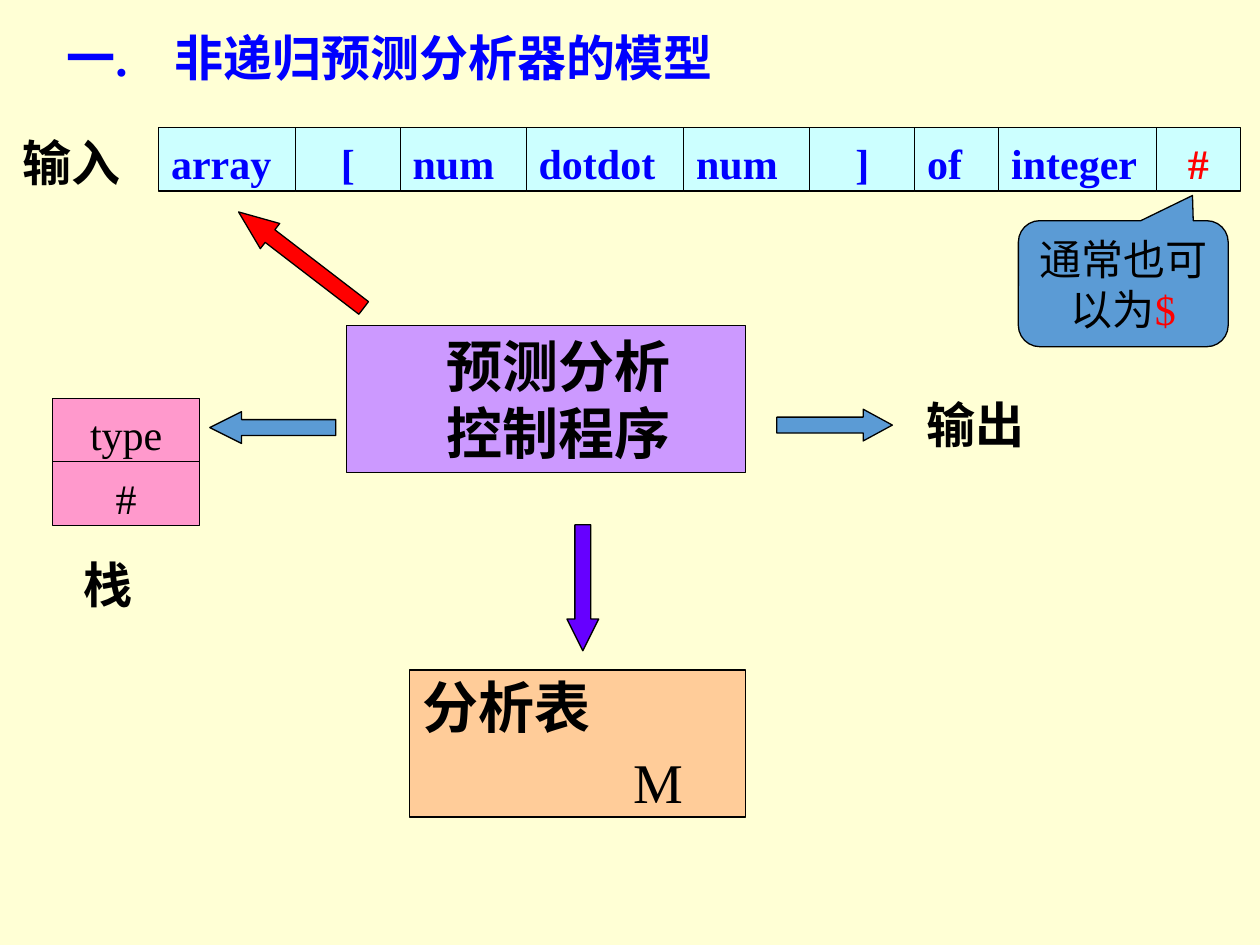
from lxml import etree
from pptx import Presentation
from pptx.dml.color import RGBColor
from pptx.enum.shapes import MSO_SHAPE
from pptx.enum.text import MSO_ANCHOR, MSO_AUTO_SIZE, PP_ALIGN
from pptx.oxml.ns import qn
from pptx.util import Cm, Pt

RECT, CALLOUT = MSO_SHAPE.RECTANGLE, MSO_SHAPE.ROUNDED_RECTANGULAR_CALLOUT
LEFT_ARROW, RIGHT_ARROW = MSO_SHAPE.LEFT_ARROW, MSO_SHAPE.RIGHT_ARROW
DOWN_ARROW = MSO_SHAPE.DOWN_ARROW
MIDDLE, NO_FIT = MSO_ANCHOR.MIDDLE, MSO_AUTO_SIZE.NONE
LEFT, CENTER = PP_ALIGN.LEFT, PP_ALIGN.CENTER

FONT = "Times New Roman"
CREAM = RGBColor(0xFF, 0xFF, 0xD5)
BLACK = RGBColor(0x00, 0x00, 0x00)
BLUE = RGBColor(0x00, 0x00, 0xFF)
RED = RGBColor(0xFF, 0x00, 0x00)
CYAN = RGBColor(0xCC, 0xFF, 0xFF)
STEEL = RGBColor(0x5B, 0x9B, 0xD5)
LILAC = RGBColor(0xCC, 0x99, 0xFF)
VIOLET = RGBColor(0x66, 0x00, 0xFF)
PEACH = RGBColor(0xFF, 0xCC, 0x99)
PINK = RGBColor(0xFF, 0x99, 0xCC)

CELL_MARGINS = (0.25, 0.22, 0.25, 0.06)
CELL_UNIT, CELL_HEIGHT = 0.2117, 1.28
INPUT_CELLS = [
    ("array", 13, LEFT, BLUE),
    ("[", 10, CENTER, BLUE),
    ("num", 12, LEFT, BLUE),
    ("dotdot", 15, LEFT, BLUE),
    ("num", 12, LEFT, BLUE),
    ("]", 10, CENTER, BLUE),
    ("of", 8, LEFT, BLUE),
    ("integer", 15, LEFT, BLUE),
    ("#", 8, CENTER, RED),
]


def add_tab_stop(p, position):
    """Give the paragraph one left tab stop."""
    tabs = etree.SubElement(p._p.get_or_add_pPr(), qn("a:tabLst"))
    etree.SubElement(tabs, qn("a:tab"), pos=str(Cm(position)), algn="l")


def format_paragraph(p, size, color=BLACK, bold=False, align=LEFT):
    """Set the alignment and font of a paragraph."""
    p.alignment = align
    p.font.name = FONT
    p.font.size = Pt(size)
    p.font.bold = bold
    p.font.color.rgb = color


def set_text(sp, text, size, color=BLACK, bold=False, align=LEFT,
             margins=(0.25, 0.13, 0.25, 0.13), tab=None):
    """Fill a shape with text of one format and return its frame."""
    tf = sp.text_frame
    tf.word_wrap = True
    tf.auto_size = NO_FIT
    tf.vertical_anchor = MIDDLE
    tf.margin_left, tf.margin_top, tf.margin_right, tf.margin_bottom = map(Cm, margins)
    tf.text = text
    for p in tf.paragraphs:
        if tab:
            add_tab_stop(p, tab)
        format_paragraph(p, size, color, bold, align)
    return tf


def add_block(slide, kind, box, fill, adjustments=(), rotation=0):
    """Add a filled shape with a thin black outline."""
    sp = slide.shapes.add_shape(kind, *map(Cm, box))
    sp.shadow.inherit = False
    sp.fill.solid()
    sp.fill.fore_color.rgb = fill
    sp.line.color.rgb = BLACK
    sp.line.width = Pt(0.75)
    sp.rotation = rotation
    for i, value in enumerate(adjustments):
        sp.adjustments[i] = value
    return sp


def add_label(slide, text, left, top, **style):
    """Add a bold caption."""
    sp = slide.shapes.add_textbox(Cm(left), Cm(top), Cm(2.97), Cm(1.45))
    set_text(sp, text, 28, bold=True, **style)


def add_title(slide, text):
    """Place and format the slide title."""
    sp = slide.shapes.title
    sp.left, sp.top, sp.width, sp.height = map(Cm, (0.43, 0.43, 15.21, 1.45))
    set_text(sp, text, 28, BLUE, True, margins=(0.91, 0.13, 0.25, 0.13), tab=2.18)


def add_input_tape(slide, left, top):
    """Lay the input tokens side by side."""
    for text, units, align, color in INPUT_CELLS:
        width = units * CELL_UNIT
        sp = add_block(slide, RECT, (left, top, width, CELL_HEIGHT), CYAN)
        set_text(sp, text, 24, color, True, align, CELL_MARGINS)
        left += width


def add_stack(slide, left, top):
    """Pile up the stack symbols."""
    for i, text in enumerate(("type", "#")):
        box = (left, top + i * CELL_HEIGHT, 2.97, CELL_HEIGHT)
        sp = add_block(slide, RECT, box, PINK)
        set_text(sp, text, 24, align=CENTER, margins=CELL_MARGINS)


def add_callout(slide):
    """Add the remark on the end marker."""
    sp = add_block(slide, CALLOUT, (20.53, 4.45, 4.23, 2.54), STEEL, (0.33, -0.7, 0.17))
    tf = set_text(sp, "通常也可以为", 24, align=CENTER)
    r = tf.paragraphs[0].add_run()
    r.text = "$"
    r.font.color.rgb = RED


def main():
    """Build the slide on the predictive parser model."""
    prs = Presentation()
    prs.slide_width, prs.slide_height = Cm(25.4), Cm(19.05)
    slide = prs.slides.add_slide(prs.slide_layouts[5])
    slide.background.fill.solid()
    slide.background.fill.fore_color.rgb = CREAM

    add_title(slide, "一.\t非递归预测分析器的模型")
    add_input_tape(slide, 3.2, 2.57)
    add_label(slide, "输入", 0.2, 2.54)

    program = add_block(slide, RECT, (6.99, 6.56, 8.04, 2.96), LILAC)
    set_text(program, "预测分析\n控制程序", 32, bold=True, margins=(2.02, 0.13, 0.25, 0.13))
    table = add_block(slide, RECT, (8.26, 13.51, 6.77, 2.96), PEACH)
    tf = set_text(table, "分析表\n\tM", 32, bold=True, tab=4.27)
    tf.paragraphs[1].font.bold = False
    tf.paragraphs[1].space_before = Pt(4)

    add_block(slide, LEFT_ARROW, (4.23, 8.3, 2.54, 0.64), STEEL, (0.5, 1))
    add_block(slide, RIGHT_ARROW, (15.66, 8.25, 2.33, 0.64), STEEL, (0.5, 0.92))
    add_block(slide, DOWN_ARROW, (11.43, 10.58, 0.64, 2.54), VIOLET, (0.5, 1))
    add_block(slide, DOWN_ARROW, (5.75, 3.65, 0.64, 3.18), RED, (0.5, 1.25), 127.5)

    add_label(slide, "输出", 18.42, 7.83)
    add_stack(slide, 1.06, 8.03)
    add_label(slide, "栈", 1.06, 11.05, align=CENTER, margins=(0.25, 0.13, 0.99, 0.13))
    add_callout(slide)
    prs.save("out.pptx")


if __name__ == "__main__":
    main()
